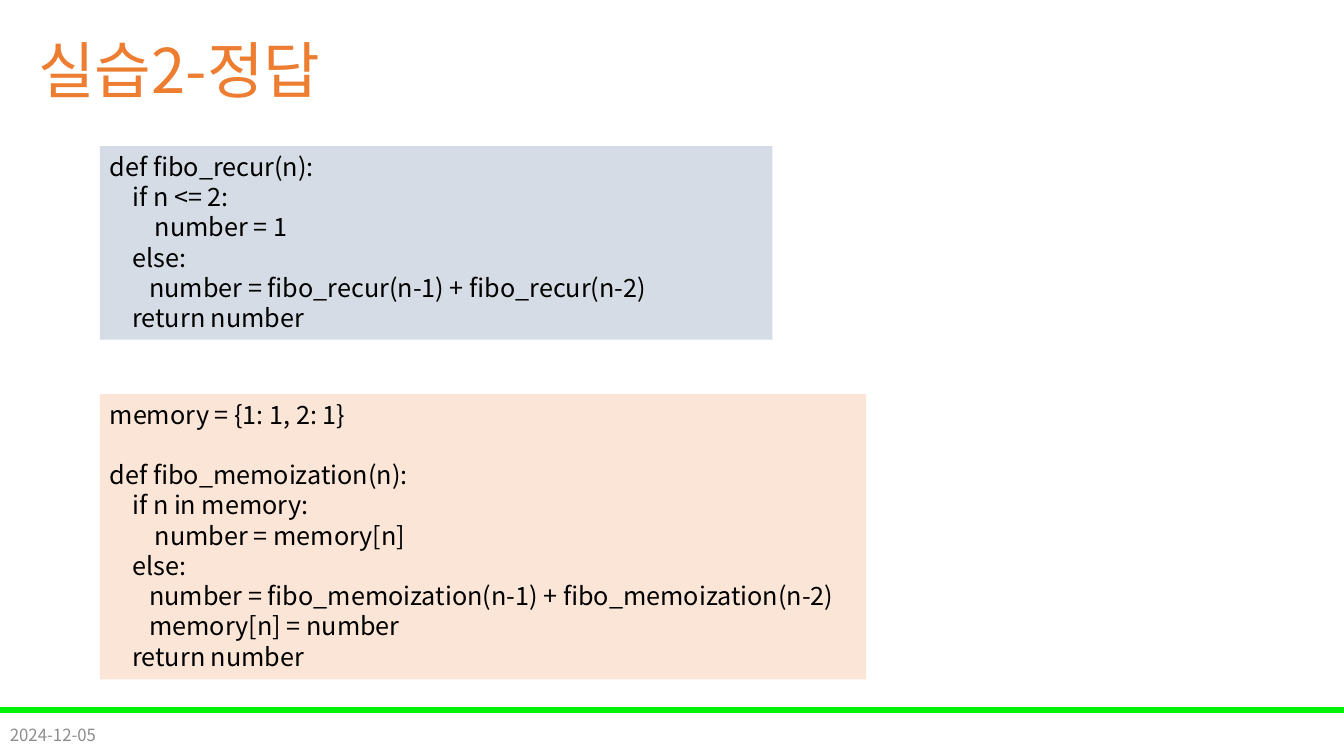
from pptx import Presentation
from pptx.dml.color import RGBColor
from pptx.enum.shapes import MSO_SHAPE
from pptx.enum.text import MSO_ANCHOR, PP_ALIGN
from pptx.oxml.ns import qn
from pptx.util import Inches, Pt

RECTANGLE = MSO_SHAPE.RECTANGLE
TOP, MIDDLE = MSO_ANCHOR.TOP, MSO_ANCHOR.MIDDLE
LEFT = PP_ALIGN.LEFT

FONT = "Noto Sans CJK KR"
CODE_SIZE = 18
CODE_PITCH = 21.6
INDENT_COLUMN = 0.056

LABELS = [
    {"box": (0.28, 0, 11.5, 1.45), "text": "실습2-정답", "size": 44, "color": "ED7D31"},
    {"box": (0, 7.09, 3, 0.4), "text": "2024-12-05", "size": 12, "color": "8C8C8C"},
]
FOOTER_RULE = {"box": (0, 7.02, 13.33, 0.05), "fill": "00F209"}
CODE_PANELS = [
    {
        "box": (0.99, 1.45, 6.67, 1.92),
        "fill": "D6DCE5",
        "blocks": [[
            (0, "def fibo_recur(n):"),
            (4, "if n <= 2:"),
            (8, "number = 1"),
            (4, "else:"),
            (7, "number = fibo_recur(n-1) + fibo_recur(n-2)"),
            (4, "return number"),
        ]],
    },
    {
        "box": (0.99, 3.91, 7.6, 2.83),
        "fill": "FBE5D6",
        "blocks": [
            [(0, "memory = {1: 1, 2: 1}")],
            [
                (0, "def fibo_memoization(n):"),
                (4, "if n in memory:"),
                (8, "number = memory[n]"),
                (4, "else:"),
                (7, "number = fibo_memoization(n-1) + fibo_memoization(n-2)"),
                (7, "memory[n] = number"),
                (4, "return number"),
            ],
        ],
    },
]


def rgb(value):
    return RGBColor.from_string(value)


def set_values(target, values):
    for name, value in values.items():
        setattr(target, name, value)


def write(paragraph, text, size, color):
    run = paragraph.add_run()
    run.text = text
    set_values(run.font, {"name": FONT, "size": Pt(size)})
    run.font.color.rgb = rgb(color)
    east_asian = run.font._element.makeelement(qn("a:ea"), {"typeface": FONT})
    run.font._element.find(qn("a:latin")).addnext(east_asian)


def add_rectangle(slide, box, fill):
    shape = slide.shapes.add_shape(RECTANGLE, *map(Inches, box))
    shape.shadow.inherit = False
    shape.fill.solid()
    shape.fill.fore_color.rgb = rgb(fill)
    shape.line.fill.background()
    return shape


def add_label(slide, label):
    frame = slide.shapes.add_textbox(*map(Inches, label["box"])).text_frame
    set_values(frame, {"word_wrap": True, "vertical_anchor": MIDDLE})
    paragraph = frame.paragraphs[0]
    if label["size"] > CODE_SIZE:
        paragraph.line_spacing = 0.9
    write(paragraph, label["text"], label["size"], label["color"])


def add_code_panel(slide, panel):
    frame = add_rectangle(slide, panel["box"], panel["fill"]).text_frame
    set_values(frame, {"word_wrap": True, "vertical_anchor": TOP})
    paragraph = frame.paragraphs[0]
    for block_index, block in enumerate(panel["blocks"]):
        for line_index, (columns, text) in enumerate(block):
            if block_index or line_index:
                paragraph = frame.add_paragraph()
            starts_block = block_index > 0 and line_index == 0
            set_values(paragraph, {
                "alignment": LEFT,
                "line_spacing": Pt(CODE_PITCH),
                "space_before": Pt(CODE_PITCH if starts_block else 0),
            })
            indent = Inches(columns * INDENT_COLUMN)
            paragraph._p.get_or_add_pPr().set("marL", str(indent))
            write(paragraph, text, CODE_SIZE, "000000")


def main():
    presentation = Presentation()
    set_values(presentation, {"slide_width": Inches(13.33), "slide_height": Inches(7.5)})
    slide = presentation.slides.add_slide(presentation.slide_layouts[6])
    rule = add_rectangle(slide, FOOTER_RULE["box"], FOOTER_RULE["fill"])
    rule.line.color.rgb = rgb(FOOTER_RULE["fill"])
    rule.line.width = Pt(1)
    for label in LABELS:
        add_label(slide, label)
    for panel in CODE_PANELS:
        add_code_panel(slide, panel)
    presentation.save("out.pptx")


if __name__ == "__main__":
    main()
